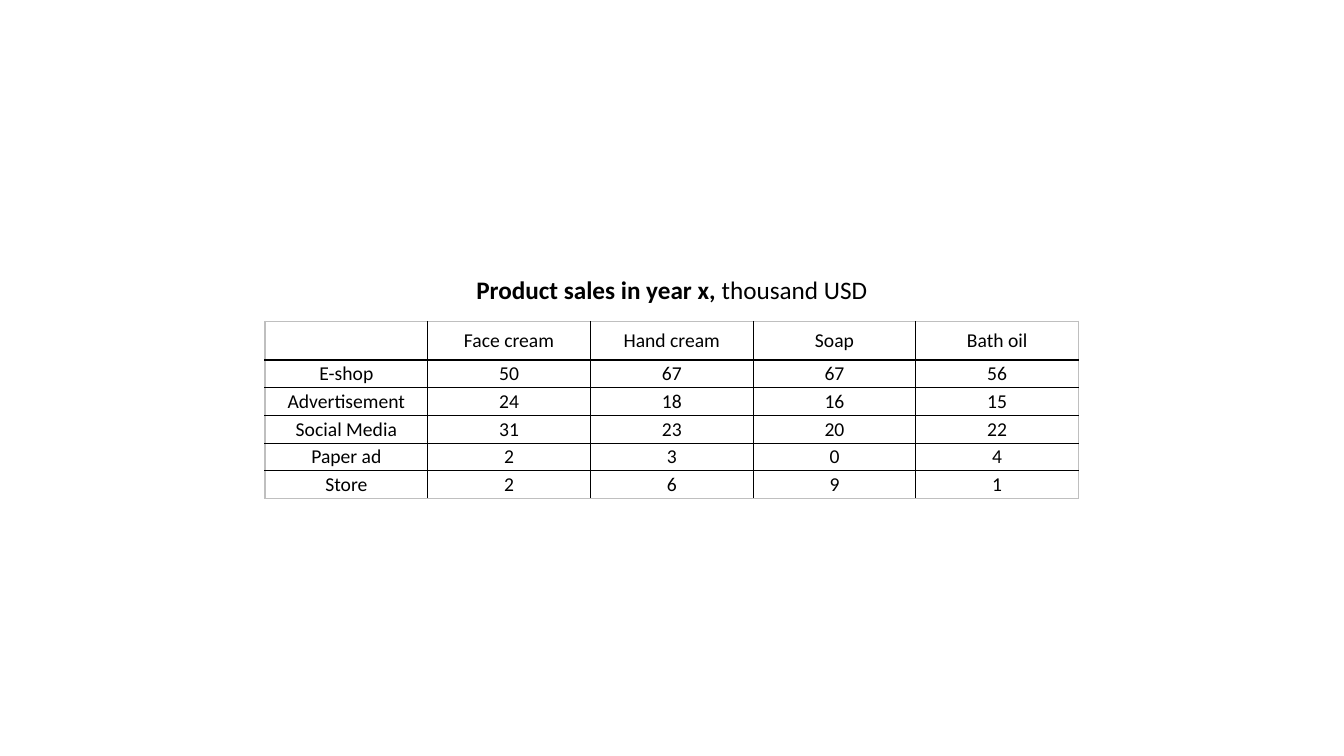
from lxml import etree
from pptx import Presentation
from pptx.dml.color import RGBColor
from pptx.enum import text
from pptx.oxml import ns
from pptx.util import Cm, Pt

FONT = "Calibri"
BLACK = "000000"
GREY = "BFBFBF"

LEFT, WIDTH = Cm(6.68), Cm(20.5)
HEADER_HEIGHT, ROW_HEIGHT = Cm(0.97), Cm(0.7)

SALES = [
    ["", "Face cream", "Hand cream", "Soap", "Bath oil"],
    ["E-shop", 50, 67, 67, 56],
    ["Advertisement", 24, 18, 16, 15],
    ["Social Media", 31, 23, 20, 22],
    ["Paper ad", 2, 3, 0, 4],
    ["Store", 2, 6, 9, 1],
]


def color(hex_string):
    return RGBColor.from_string(hex_string)


def format_paragraph(paragraph, size):
    paragraph.alignment = text.PP_ALIGN.CENTER
    paragraph.font.name = FONT
    paragraph.font.size = Pt(size)
    paragraph.font.color.rgb = color(BLACK)


def add_title(slide, bold_part, plain_part):
    title = slide.shapes.title
    title.left, title.top, title.width, title.height = LEFT, Cm(6.78), WIDTH, Cm(1.02)
    frame = title.text_frame
    frame.word_wrap = True
    frame.auto_size = text.MSO_AUTO_SIZE.NONE
    frame.vertical_anchor = text.MSO_ANCHOR.MIDDLE
    paragraph = frame.paragraphs[0]
    format_paragraph(paragraph, 18)
    for words, bold in ((bold_part, True), (plain_part, False)):
        run = paragraph.add_run()
        run.text = words
        run.font.bold = bold


def add_border(cell, side, hex_string):
    properties = cell._tc.get_or_add_tcPr()
    line = etree.SubElement(properties, ns.qn(f"a:ln{side}"), w=str(Pt(1)))
    fill = etree.SubElement(line, ns.qn("a:solidFill"))
    etree.SubElement(fill, ns.qn("a:srgbClr"), val=hex_string)


def format_cell(cell, value, outer_sides):
    cell.text = str(value)
    cell.vertical_anchor = text.MSO_ANCHOR.MIDDLE
    cell.margin_left = cell.margin_right = cell.margin_top = cell.margin_bottom = 0
    format_paragraph(cell.text_frame.paragraphs[0], 14)
    # Borders come before the fill in the cell properties
    for side, is_outer in outer_sides.items():
        add_border(cell, side, GREY if is_outer else BLACK)
    cell.fill.background()


def add_sales_table(slide, rows):
    row_count, column_count = len(rows), len(rows[0])
    height = HEADER_HEIGHT + ROW_HEIGHT * (row_count - 1)
    table = slide.shapes.add_table(
        row_count, column_count, LEFT, Cm(8.1), WIDTH, height).table
    table.first_row = table.horz_banding = False

    for column in table.columns:
        column.width = WIDTH // column_count
    for r, values in enumerate(rows):
        table.rows[r].height = ROW_HEIGHT if r else HEADER_HEIGHT
        for c, value in enumerate(values):
            outer_sides = {"L": c == 0, "R": c == column_count - 1,
                           "T": r == 0, "B": r == row_count - 1}
            format_cell(table.cell(r, c), value, outer_sides)


def main():
    presentation = Presentation()
    presentation.slide_width, presentation.slide_height = Cm(33.87), Cm(19.05)
    slide = presentation.slides.add_slide(presentation.slide_layouts[5])

    # Heading above the table
    add_title(slide, "Product sales in year x, ", "thousand USD")

    # Sales by channel and product
    add_sales_table(slide, SALES)

    presentation.save("out.pptx")


if __name__ == "__main__":
    main()
